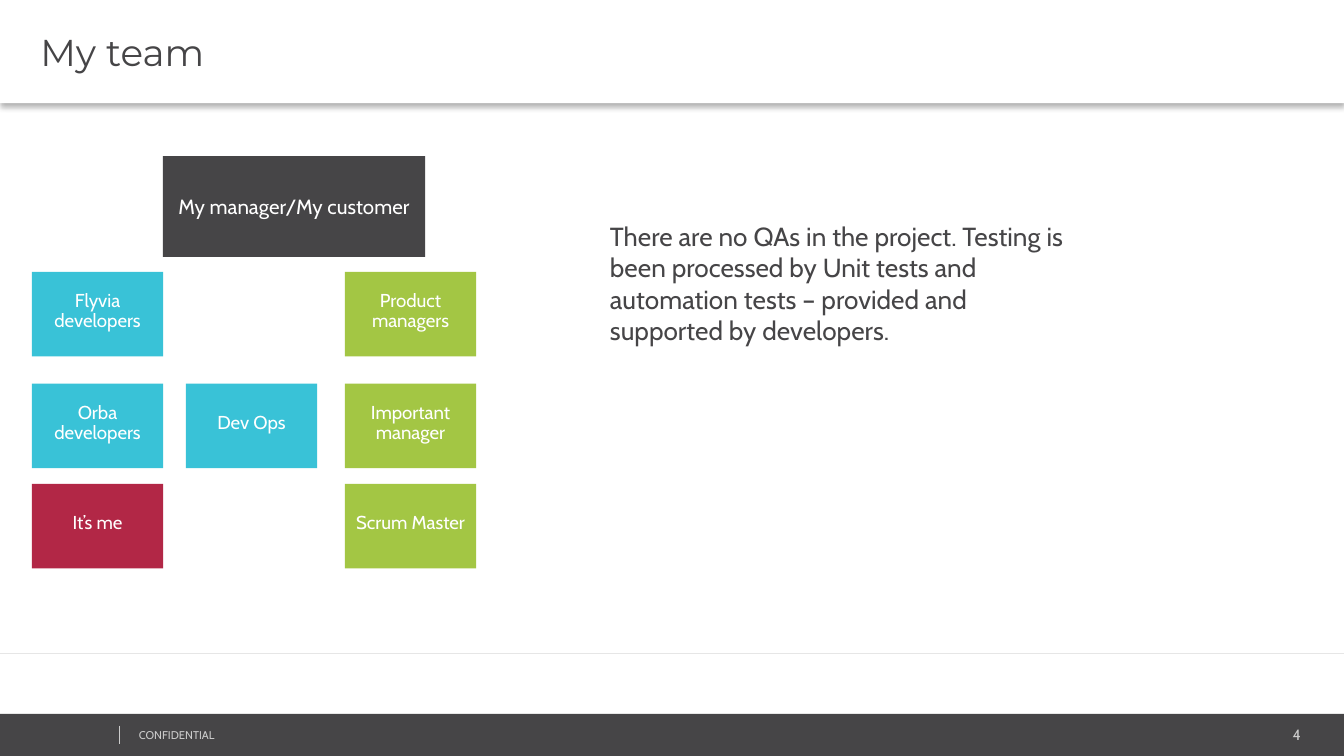
from lxml.etree import SubElement
from pptx import Presentation
from pptx.dml.color import RGBColor
from pptx.enum.shapes import MSO_CONNECTOR as Link, MSO_SHAPE as Shape
from pptx.enum.text import MSO_ANCHOR as Anchor, PP_ALIGN as Align
from pptx.oxml import parse_xml
from pptx.oxml.ns import nsdecls, qn
from pptx.util import Pt

WHITE = RGBColor(0xFF, 0xFF, 0xFF)
DARK = RGBColor(0x46, 0x45, 0x47)
BLUE = RGBColor(0x39, 0xC2, 0xD7)
GREEN = RGBColor(0xA3, 0xC6, 0x44)
RED = RGBColor(0xB2, 0x27, 0x46)
GREY = RGBColor(0xCC, 0xCC, 0xCC)
PALE = RGBColor(0xE6, 0xE6, 0xE6)

WIDTH, HEIGHT = 720, 405
COLS = (17.1, 99.6, 184.8)
ROWS = (145.7, 205.5, 259.2)
CARD = (70.3, 45.3)
PAD = (5, 2.9, 5, 2.9)
CARD_PAD = (5, 2.2, 5, 5)

TEAM = [
    (0, 0, "Flyvia developers", BLUE),
    (2, 0, "Product managers", GREEN),
    (0, 1, "Orba developers", BLUE),
    (1, 1, "Dev Ops", BLUE),
    (2, 1, "Important manager", GREEN),
    (0, 2, "It’s me", RED),
    (2, 2, "Scrum Master", GREEN),
]


class Deck:
    font = "Cabin"

    def __init__(self, slide):
        self.slide = slide

    def text(self, shape, text, size, color, align=Align.LEFT, pad=PAD,
             anchor=Anchor.TOP, font=None, lead=None):
        frame = shape.text_frame
        frame.word_wrap = True
        frame.vertical_anchor = anchor
        (frame.margin_left, frame.margin_top,
         frame.margin_right, frame.margin_bottom) = map(Pt, pad)
        para = frame.paragraphs[0]
        para.text = text
        para.alignment = align
        para.line_spacing = lead
        para.font.name = font or self.font
        para.font.size = Pt(size)
        para.font.color.rgb = color

    def box(self, x, y, w, h, fill):
        shape = self.slide.shapes.add_shape(
            Shape.RECTANGLE, Pt(x), Pt(y), Pt(w), Pt(h))
        shape.shadow.inherit = False
        shape.fill.solid()
        shape.fill.fore_color.rgb = fill
        shape.line.fill.background()
        return shape

    def card(self, x, y, w, h, text, fill, size=10, pad=CARD_PAD, lead=0.9):
        self.text(self.box(x, y, w, h, fill), text, size, WHITE,
                  Align.CENTER, pad, Anchor.MIDDLE, lead=lead)

    def label(self, x, y, w, h, text, size, color, **style):
        shape = self.slide.shapes.add_textbox(Pt(x), Pt(y), Pt(w), Pt(h))
        self.text(shape, text, size, color, **style)

    def line(self, x1, y1, x2, y2, color, width):
        line = self.slide.shapes.add_connector(
            Link.STRAIGHT, Pt(x1), Pt(y1), Pt(x2), Pt(y2))
        line.line.color.rgb = color
        line.line.width = Pt(width)
        SubElement(line._element.spPr, qn("a:effectLst"))

    def header(self, text):
        """Add the white title band with a soft shadow below it."""
        band = self.box(0, 0, WIDTH, 55.3, WHITE)
        band._element.spPr.find(qn("a:effectLst")).append(parse_xml(
            f'<a:outerShdw {nsdecls("a")} blurRad="{Pt(3.1)}" dist="{Pt(2)}" '
            'dir="5400000" algn="t" rotWithShape="0"><a:srgbClr val="000000">'
            '<a:alpha val="30000"/></a:srgbClr></a:outerShdw>'))
        self.text(band, text, 20, DARK, pad=(21.6, 2.9, 5, 2.9),
                  anchor=Anchor.MIDDLE, font="Montserrat")

    def footer(self, text, number):
        self.box(0, 382.4, WIDTH, HEIGHT - 382.4, DARK)
        self.label(584.6, 386, 117.4, 15, number, 8, GREY, align=Align.RIGHT)
        self.label(69.4, 387.3, 182, 13, text, 6, GREY)
        self.line(64, 388.8, 64, 398.8, GREY, 0.25)


def main():
    show = Presentation()
    show.slide_width, show.slide_height = Pt(WIDTH), Pt(HEIGHT)
    deck = Deck(show.slides.add_slide(show.slide_layouts[6]))
    deck.footer("CONFIDENTIAL", "4")
    deck.line(WIDTH, 350, 0, 350, PALE, 0.5)
    deck.header("My team")
    deck.card(87.3, 83.6, 140.4, 54, "My manager/My customer", DARK,
              size=11, pad=PAD, lead=None)
    for col, row, text, fill in TEAM:
        deck.card(COLS[col], ROWS[row], *CARD, text, fill)
    deck.label(319.7, 114.5, 266.4, 75,
               "There are no QAs in the project. Testing is been processed by "
               "Unit tests and automation tests – provided and supported by "
               "developers.", 14, DARK, pad=(7.2, 3.6, 7.2, 3.6))
    show.save("out.pptx")


if __name__ == "__main__":
    main()
